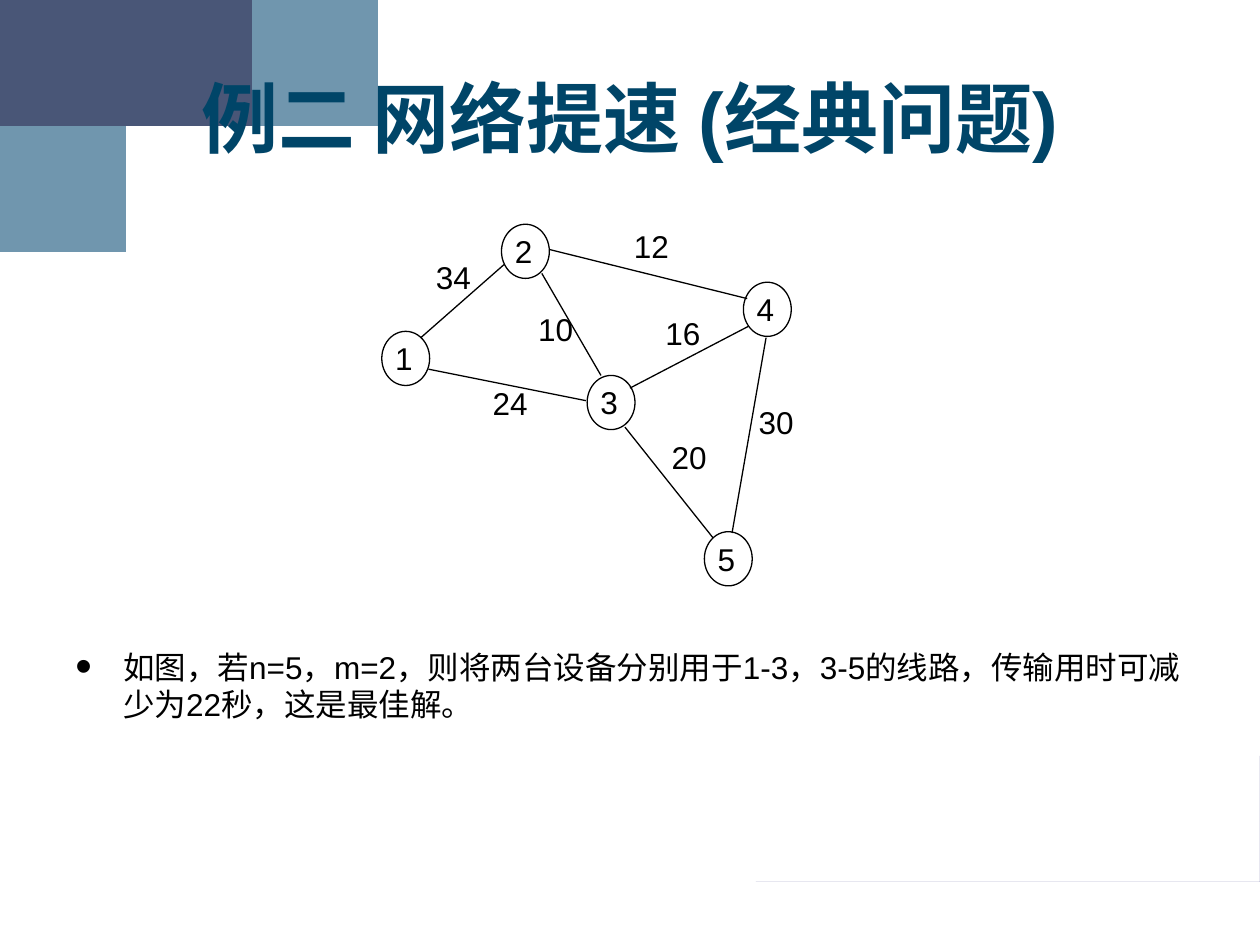
from lxml.etree import SubElement
from pptx import Presentation
from pptx.dml.color import RGBColor
from pptx.enum.shapes import MSO_CONNECTOR, MSO_SHAPE
from pptx.enum.text import MSO_ANCHOR, PP_ALIGN
from pptx.oxml.ns import qn
from pptx.util import Inches, Pt

FONT = "Arial"
BLACK, WHITE = "000000", "FFFFFF"
CURVE_STEPS = 32
NODE_SIZE = (0.38, 0.43)

# Colour, the four Bezier points of the edge, and the slide corner it closes on
SWOOSHES = [
    ("7096AE", [(0, 2.43), (0.61, 0.53), (4.12, 0.02), (9.18, 0)], (0, 0)),
    ("495677", [(0, 2.01), (0.69, 0.3), (4.09, 0.04), (9.18, 0)], (0, 0)),
    ("AEB8D1", [(10, 5.63), (9.71, 7.11), (8.08, 7.45), (5.68, 7.49)], (10, 7.49)),
    ("8E84B7", [(10, 5.95), (9.67, 7.26), (8.07, 7.46), (5.68, 7.49)], (10, 7.49)),
]
WEIGHTS = [
    ("30", 6.02, 3.2, 0.48, 0.44),
    ("20", 5.33, 3.48, 0.52, 0.47),
    ("16", 5.28, 2.49, 0.51, 0.49),
    ("24", 3.91, 3.05, 0.51, 0.51),
    ("10", 4.27, 2.46, 0.51, 0.34),
    ("12", 5.03, 1.8, 0.61, 0.49),
    ("34", 3.46, 2.05, 0.49, 0.4),
]
NODES = [
    ("4", 5.9, 2.24),
    ("2", 3.98, 1.78),
    ("5", 5.59, 4.22),
    ("3", 4.66, 2.98),
    ("1", 3.03, 2.63),
]
EDGES = [
    (3.4, 2.93, 4.65, 3.18),
    (3.34, 2.68, 4, 2.1),
    (4.3, 2.17, 4.77, 2.98),
    (4.36, 1.98, 5.93, 2.37),
    (5, 3.08, 5.94, 2.59),
    (4.96, 3.39, 5.66, 4.27),
    (6.08, 2.68, 5.81, 4.23),
]


def rgb(color):
    return RGBColor.from_string(color)


def set_text(sp, text, size=18, color=BLACK, bold=False, align=PP_ALIGN.LEFT,
             anchor=MSO_ANCHOR.TOP, inset=(0.1, 0.05)):
    """Write one paragraph into a shape; inset is (left and right, top and bottom)."""
    tf = sp.text_frame
    tf.word_wrap = True
    tf.vertical_anchor = anchor
    tf.margin_left = tf.margin_right = Inches(inset[0])
    tf.margin_top = tf.margin_bottom = Inches(inset[1])
    p = tf.paragraphs[0]
    p.alignment = align
    r = p.add_run()
    r.text = text
    r.font.name = FONT
    r.font.size = Pt(size)
    r.font.bold = bold
    r.font.color.rgb = rgb(color)
    return p


def add_text(s, box, text, **fmt):
    return set_text(s.shapes.add_textbox(*map(Inches, box)), text, **fmt)


def add_bullet(p, indent, percent):
    pPr = p._p.get_or_add_pPr()
    pPr.set("marL", str(Inches(indent)))
    pPr.set("indent", str(-Inches(indent)))
    SubElement(SubElement(pPr, qn("a:buClr")), qn("a:srgbClr"), val=BLACK)
    SubElement(pPr, qn("a:buSzPct"), val=str(percent * 1000))
    SubElement(pPr, qn("a:buFont"), typeface=FONT)
    SubElement(pPr, qn("a:buChar"), char="•")


def bezier(points, t):
    """Return the point of a cubic Bezier curve at t."""
    u = 1 - t
    factors = (u ** 3, 3 * u * u * t, 3 * u * t * t, t ** 3)
    return tuple(sum(f * pt[axis] for f, pt in zip(factors, points)) for axis in (0, 1))


def add_swoosh(s, color, points, corner):
    curve = [bezier(points, i / CURVE_STEPS) for i in range(CURVE_STEPS + 1)]
    builder = s.shapes.build_freeform(*curve[0], scale=Inches(1))
    builder.add_line_segments(curve[1:] + [corner], close=True)
    sp = builder.convert_to_shape()
    sp.shadow.inherit = False
    sp.fill.solid()
    sp.fill.fore_color.rgb = rgb(color)
    sp.line.fill.background()


def add_label(s, kind, box, text, line, inset):
    sp = s.shapes.add_shape(kind, *map(Inches, box))
    sp.shadow.inherit = False
    sp.fill.solid()
    sp.fill.fore_color.rgb = rgb(WHITE)
    sp.line.color.rgb = rgb(line)
    sp.line.width = Pt(0.75)
    set_text(sp, text, inset=inset)


def add_edge(s, ends):
    cxn = s.shapes.add_connector(MSO_CONNECTOR.STRAIGHT, *map(Inches, ends))
    cxn.line.color.rgb = rgb(BLACK)
    cxn.line.width = Pt(0.75)
    SubElement(cxn._element.spPr, qn("a:effectLst"))


def main():
    prs = Presentation()
    prs.slide_width, prs.slide_height = Inches(10), Inches(7.5)
    s = prs.slides.add_slide(prs.slide_layouts[6])

    for swoosh in SWOOSHES:
        add_swoosh(s, *swoosh)

    add_text(s, (0.5, 0.3, 9, 1.25), "例二 网络提速 (经典问题)", size=44,
             color="004568", bold=True, align=PP_ALIGN.CENTER, anchor=MSO_ANCHOR.MIDDLE)
    p = add_text(s, (0.5, 5.09, 9, 1.14),
                 "如图，若n=5，m=2，则将两台设备分别用于1-3，3-5的线路，"
                 "传输用时可减少为22秒，这是最佳解。")
    p.space_before = Pt(4.5)
    add_bullet(p, indent=0.38, percent=150)

    for text, *box in WEIGHTS:
        add_label(s, MSO_SHAPE.RECTANGLE, box, text, WHITE, inset=(0, 0))
    for text, x, y in NODES:
        add_label(s, MSO_SHAPE.OVAL, (x, y, *NODE_SIZE), text, BLACK, inset=(0.05, 0))
    for ends in EDGES:
        add_edge(s, ends)

    prs.save("out.pptx")


if __name__ == "__main__":
    main()
